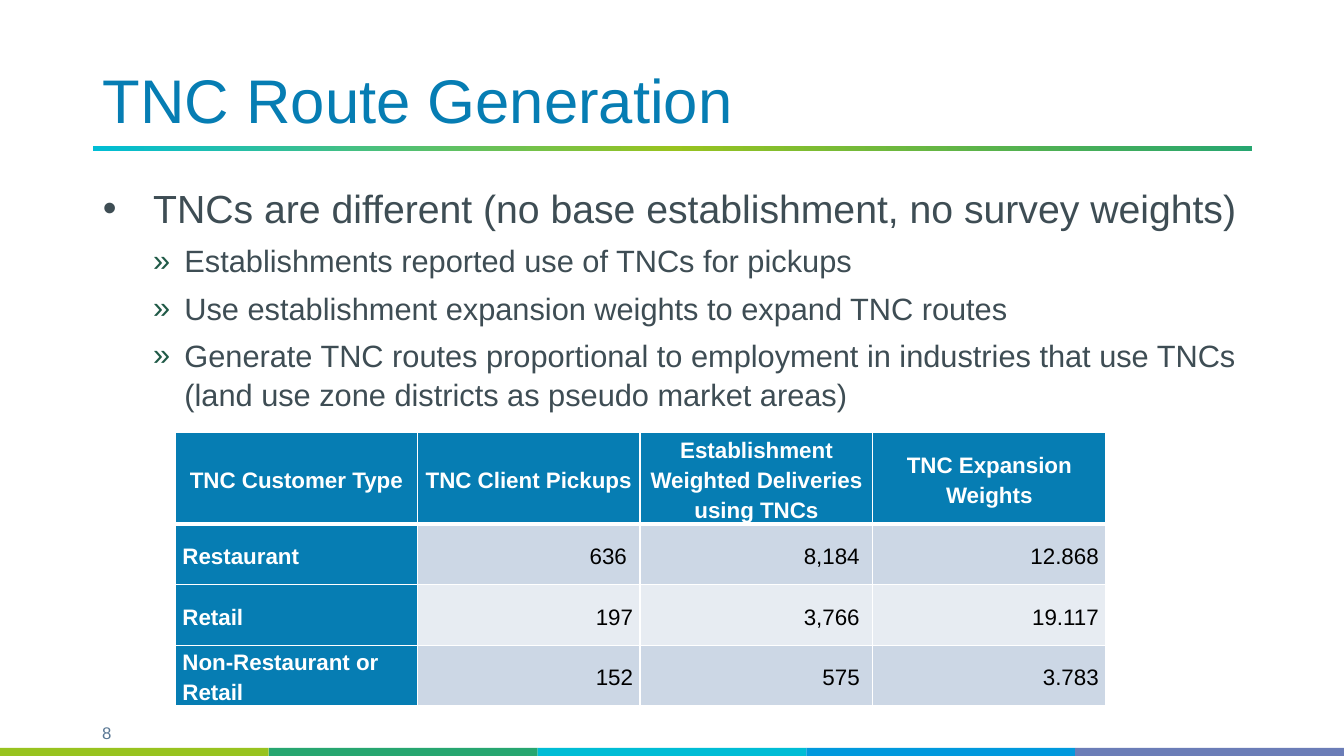
from copy import deepcopy

from lxml import etree
from pptx import Presentation
from pptx.dml.color import RGBColor
from pptx.enum.shapes import MSO_SHAPE
from pptx.enum.text import MSO_ANCHOR, MSO_AUTO_SIZE, PP_ALIGN
from pptx.oxml.ns import qn
from pptx.util import Pt

RECTANGLE = MSO_SHAPE.RECTANGLE
LEFT, CENTER, RIGHT = PP_ALIGN.LEFT, PP_ALIGN.CENTER, PP_ALIGN.RIGHT
TOP, MIDDLE, BOTTOM = MSO_ANCHOR.TOP, MSO_ANCHOR.MIDDLE, MSO_ANCHOR.BOTTOM
NO_AUTOFIT = MSO_AUTO_SIZE.NONE

WHITE = RGBColor(0xFF, 0xFF, 0xFF)
BLACK = RGBColor(0x00, 0x00, 0x00)
BLUE = RGBColor(0x06, 0x7D, 0xB3)
SLATE = RGBColor(0x3E, 0x4D, 0x54)
STEEL = RGBColor(0x59, 0x77, 0x94)
FOREST = RGBColor(0x20, 0x5A, 0x47)
LIME = RGBColor(0x98, 0xC3, 0x1F)
GREEN = RGBColor(0x27, 0xA6, 0x70)
CYAN = RGBColor(0x00, 0xBD, 0xD5)
AZURE = RGBColor(0x01, 0x99, 0xDD)
VIOLET = RGBColor(0x6B, 0x7D, 0xB7)
DARK_BAND = RGBColor(0xCC, 0xD7, 0xE5)
LIGHT_BAND = RGBColor(0xE7, 0xEC, 0xF2)

FONT = "Arial"
SLIDE_WIDTH, SLIDE_HEIGHT = 960, 540
MARGIN, CONTENT_WIDTH = 66.24, 828
CELL_INSET = 5.04
SPACE_WIDTH = 4.45

BULLETS = [
    (0, "TNCs are different (no base establishment, no survey weights)"),
    (1, "Establishments reported use of TNCs for pickups"),
    (1, "Use establishment expansion weights to expand TNC routes"),
    (1, "Generate TNC routes proportional to employment in industries that use TNCs "
        "(land use zone districts as pseudo market areas)"),
]
BULLET_FORMATS = [
    dict(size=28, line_spacing=0.9, bullet=("•", SLATE, 36, -36)),
    dict(size=22, line_spacing=1.05, before=6, bullet=("»", FOREST, 58.32, -22.32)),
]
ROWS = [
    ["TNC Customer Type", "TNC Client Pickups",
     "Establishment Weighted Deliveries using TNCs", "TNC Expansion Weights"],
    ["Restaurant", "636", "8,184", "12.868"],
    ["Retail", "197", "3,766", "19.117"],
    ["Non-Restaurant or Retail", "152", "575", "3.783"],
]
COLUMN_WIDTHS = [172.8, 159.12, 166.32, 166.32]
ROW_HEIGHTS = [65.52, 43.2, 43.2, 43.2]
PADDED_CELLS = {(1, 1), (1, 2), (2, 2), (3, 2)}


def add_bullet(paragraph, character, color, indent, hanging):
    properties = paragraph._p.get_or_add_pPr()
    properties.set("marL", str(Pt(indent)))
    properties.set("indent", str(Pt(hanging)))
    bullet_color = etree.SubElement(properties, qn("a:buClr"))
    etree.SubElement(bullet_color, qn("a:srgbClr"), val=str(color))
    etree.SubElement(properties, qn("a:buFont"), typeface=FONT)
    etree.SubElement(properties, qn("a:buChar"), char=character)


def write(paragraph, text, size=16, color=SLATE, bold=False, align=LEFT,
          line_spacing=1.0, before=0, after=0, bullet=None):
    if bullet:
        add_bullet(paragraph, *bullet)
    paragraph.alignment = align
    paragraph.line_spacing = line_spacing
    paragraph.space_before = Pt(before)
    paragraph.space_after = Pt(after)
    run = paragraph.add_run()
    run.text = text
    run.font.name = FONT
    run.font.size = Pt(size)
    run.font.bold = bold
    run.font.color.rgb = color


def place(shape, left, top, width, height, anchor):
    shape.left, shape.top = Pt(left), Pt(top)
    shape.width, shape.height = Pt(width), Pt(height)
    frame = shape.text_frame
    frame.word_wrap = True
    frame.auto_size = NO_AUTOFIT
    frame.vertical_anchor = anchor
    return frame


def add_bar(slide, left, top, width, height, colors):
    bar = slide.shapes.add_shape(RECTANGLE, Pt(left), Pt(top), Pt(width), Pt(height))
    bar.shadow.inherit = False
    bar.line.fill.background()
    if len(colors) == 1:
        bar.fill.solid()
        bar.fill.fore_color.rgb = colors[0]
        return
    bar.fill.gradient()
    bar.fill.gradient_angle = 0
    stop_list = bar._element.spPr.find(".//" + qn("a:gsLst"))
    for _ in range(len(colors) - len(stop_list)):
        stop_list.append(deepcopy(stop_list[0]))
    for index, (stop, color) in enumerate(zip(bar.fill.gradient_stops, colors)):
        stop.position = index / (len(colors) - 1)
        stop.color.rgb = color


def add_borders(cell, row):
    properties = cell._tc.get_or_add_tcPr()
    heavy_side = {0: "B", 1: "T"}.get(row)
    for side in "LRTB":
        width = Pt(3 if side == heavy_side else 1)
        line = etree.SubElement(properties, qn(f"a:ln{side}"), w=str(width))
        fill = etree.SubElement(line, qn("a:solidFill"))
        etree.SubElement(fill, qn("a:srgbClr"), val=str(WHITE))


def fill_cell(cell, row, column, text):
    is_header = row == 0 or column == 0
    add_borders(cell, row)
    cell.fill.solid()
    cell.fill.fore_color.rgb = BLUE if is_header else DARK_BAND if row % 2 else LIGHT_BAND
    cell.vertical_anchor = MIDDLE
    cell.margin_left = Pt(CELL_INSET)
    cell.margin_right = Pt(CELL_INSET + SPACE_WIDTH * ((row, column) in PADDED_CELLS))
    cell.margin_top = cell.margin_bottom = Pt(0)
    align = CENTER if row == 0 else LEFT if column == 0 else RIGHT
    write(cell.text_frame.paragraphs[0], text, color=WHITE if is_header else BLACK,
          bold=is_header, align=align, line_spacing=1.2, after=12)


def add_weights_table(slide, left, top):
    table = slide.shapes.add_table(
        len(ROWS), len(COLUMN_WIDTHS), Pt(left), Pt(top),
        Pt(sum(COLUMN_WIDTHS)), Pt(sum(ROW_HEIGHTS))).table
    for column, width in zip(table.columns, COLUMN_WIDTHS):
        column.width = Pt(width)
    for row, height in zip(table.rows, ROW_HEIGHTS):
        row.height = Pt(height)
    for row, texts in enumerate(ROWS):
        for column, text in enumerate(texts):
            fill_cell(table.cell(row, column), row, column, text)


def add_bullets(frame):
    for index, (level, text) in enumerate(BULLETS):
        paragraph = frame.add_paragraph() if index else frame.paragraphs[0]
        paragraph.level = level
        write(paragraph, text, **BULLET_FORMATS[level])


def main():
    presentation = Presentation()
    presentation.slide_width = Pt(SLIDE_WIDTH)
    presentation.slide_height = Pt(SLIDE_HEIGHT)
    slide = presentation.slides.add_slide(presentation.slide_layouts[1])

    title = place(slide.shapes.title, MARGIN, 7.92, CONTENT_WIDTH, 93.6, BOTTOM)
    write(title.paragraphs[0], "TNC Route Generation", size=44, color=BLUE, line_spacing=0.9)
    add_bullets(place(slide.placeholders[1], MARGIN, 131.76, CONTENT_WIDTH, 354.24, TOP))

    add_bar(slide, MARGIN, 104.4, CONTENT_WIDTH, 3.6, [CYAN, LIME, GREEN])
    footer_colors = [LIME, GREEN, CYAN, AZURE, VIOLET]
    segment = SLIDE_WIDTH / len(footer_colors)
    for index, color in enumerate(footer_colors):
        add_bar(slide, index * segment, 534.24, segment, 5.76, [color])

    number_box = slide.shapes.add_textbox(0, 0, 0, 0)
    number = place(number_box, 53.28, 512.64, 46.08, 21.6, TOP)
    write(number.paragraphs[0], "8", size=12, color=STEEL, align=CENTER)

    add_weights_table(slide, 125.28, 308.88)
    presentation.save("out.pptx")


if __name__ == "__main__":
    main()
